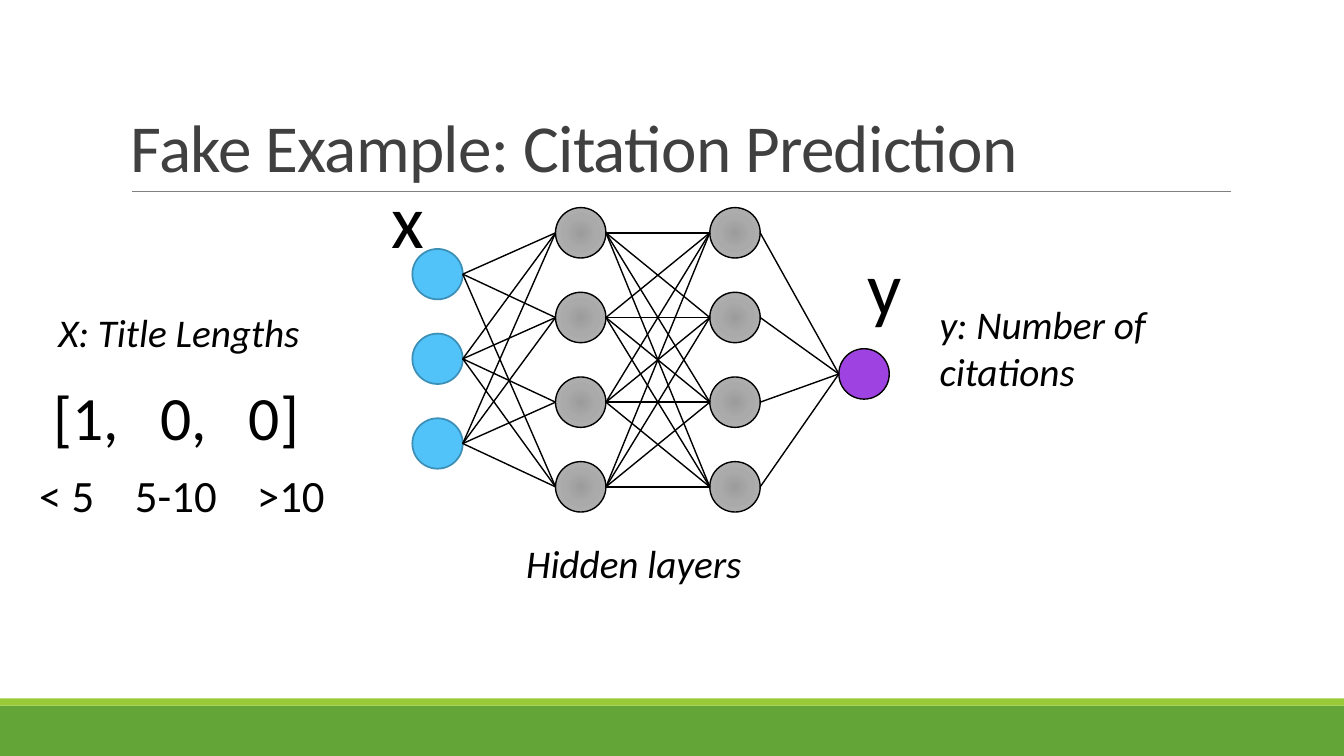
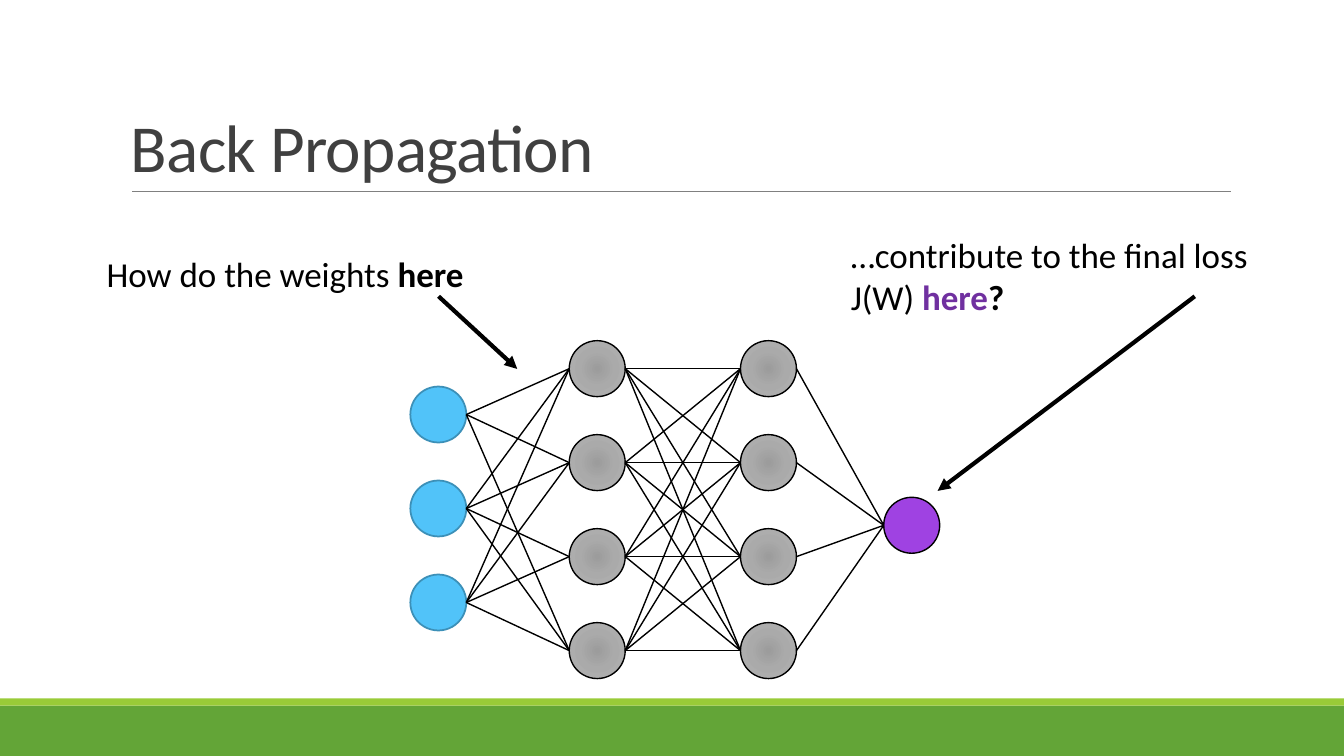
from pptx import Presentation
from pptx.dml.color import RGBColor
from pptx.enum.shapes import MSO_CONNECTOR, MSO_SHAPE
from pptx.enum.text import MSO_ANCHOR, PP_ALIGN
from pptx.oxml import parse_xml
from pptx.oxml.ns import nsdecls, qn
from pptx.oxml.xmlchemy import OxmlElement
from pptx.util import Inches, Pt

STRAIGHT = MSO_CONNECTOR.STRAIGHT
OVAL, RECTANGLE = MSO_SHAPE.OVAL, MSO_SHAPE.RECTANGLE
TOP, BOTTOM = MSO_ANCHOR.TOP, MSO_ANCHOR.BOTTOM
LEFT, CENTER = PP_ALIGN.LEFT, PP_ALIGN.CENTER

BLACK = RGBColor(0x00, 0x00, 0x00)
TITLE_GRAY = RGBColor(0x40, 0x40, 0x40)
RULE_GRAY = RGBColor(0x80, 0x80, 0x80)
GREEN = RGBColor(0x63, 0xA5, 0x37)
LIME = RGBColor(0x99, 0xCB, 0x38)
BLUE = RGBColor(0x51, 0xC3, 0xF9)
BLUE_EDGE = RGBColor(0x3C, 0x90, 0xB8)
PURPLE = RGBColor(0x9F, 0x42, 0xE2)
TEXT_PURPLE = RGBColor(0x70, 0x30, 0xA0)
HIDDEN_STOPS = [(0, "9C9C9C"), (45, "AAAAAA"), (100, "B4B4B4")]
FONT = "Calibri"

SLIDE_WIDTH, SLIDE_HEIGHT = 13.33, 7.5
BANDS = [(7, 0.5, GREEN), (6.93, 0.07, LIME)]

# Layers of the network, relative to its top left corner: left, top, node count, fill, edge, edge width
LAYERS = [
    (0, 0.41, 3, BLUE, BLUE_EDGE, 1.25),
    (1.42, 0, 4, None, BLACK, 1),
    (2.95, 0, 4, None, BLACK, 1),
    (4.23, 1.4, 1, PURPLE, BLACK, 1),
]
NODE_SIZE, NODE_STEP = 0.5, 0.84
UNLINKED = {(0, 0, 2)}  # layer, node, node of the next layer

ITALIC = {"size": 28, "italic": True}
SYMBOL = {"size": 54, "align": CENTER, "wrap": False}
SLIDES = [
    {
        "title": "Fake Example: Citation Prediction",
        "network": (4.09, 2.06, 1),
        "texts": [
            ((3.78, 1.67, 0.53, 1.01), "x", SYMBOL),
            ((8.5, 2.33, 0.55, 1.01), "y", SYMBOL),
            ((0.43, 3.71, 2.89, 0.84), "[1,\t0,\t0]", {"size": 44, "tabs": (1.06, 1.94)}),
            ((0.29, 4.59, 3.35, 0.64), "< 5\t5-10\t>10", {"size": 32, "tabs": (0.95, 2.16)}),
            ((0.48, 3.01, 2.8, 0.57), "X: Title Lengths", ITALIC),
            ((9.22, 2.93, 2.8, 1.04), "y: Number of citations", ITALIC),
            ((5.12, 5.3, 2.8, 0.57), "Hidden layers", ITALIC),
        ],
        "arrows": [],
    },
    {
        "title": "Back Propagation",
        "network": (4.07, 3.38, 1.11),
        "texts": [
            ((0.96, 2.46, 4.5, 0.52),
             [("How do the weights ", {}), ("here", {"bold": True})], {"size": 25}),
            ((8.34, 2.27, 4.5, 0.94),
             [("…contribute to the final loss J(W) ", {}),
              ("here", {"bold": True, "color": TEXT_PURPLE}),
              ("?", {"bold": True})], {"size": 25}),
        ],
        "arrows": [((4.35, 2.94), (5.13, 3.66)), ((11.85, 2.94), (9.3, 4.87))],
    },
]


def add_text(slide, box, content, size=28, color=BLACK, italic=False, align=LEFT,
             anchor=TOP, wrap=True, line_spacing=None, tracking=None, tabs=()):
    """Add a text box; content is a string or a list of (text, run format)."""
    frame = slide.shapes.add_textbox(*map(Inches, box)).text_frame
    frame.word_wrap = wrap
    frame.vertical_anchor = anchor
    paragraph = frame.paragraphs[0]
    paragraph.alignment = align
    if line_spacing:
        paragraph.line_spacing = line_spacing
    if tabs:
        tab_list = OxmlElement("a:tabLst")
        for position in tabs:
            tab = OxmlElement("a:tab")
            tab.set("pos", str(Inches(position)))
            tab.set("algn", "l")
            tab_list.append(tab)
        paragraph._p.get_or_add_pPr().append(tab_list)
    for text, run_format in [(content, {})] if isinstance(content, str) else content:
        run = paragraph.add_run()
        run.text = text
        run.font.name = FONT
        run.font.size = Pt(size)
        run.font.italic = italic
        run.font.bold = run_format.get("bold", False)
        run.font.color.rgb = run_format.get("color", color)
        if tracking:
            run.font._element.set("spc", str(int(tracking * 100)))


def add_line(shapes, start, end, color=BLACK, width=1, arrow=False):
    line = shapes.add_connector(STRAIGHT, *map(Inches, (*start, *end)))
    line.line.color.rgb = color
    line.line.width = Pt(width)
    properties = line._element.spPr
    if arrow:
        head = OxmlElement("a:tailEnd")
        head.set("type", "triangle")
        properties.find(qn("a:ln")).append(head)
    properties.append(OxmlElement("a:effectLst"))


def add_filled_shape(shapes, kind, box, fill, edge=None, edge_width=1):
    """Add a shape; without a fill colour it gets the radial gradient of hidden nodes."""
    shape = shapes.add_shape(kind, *map(Inches, box))
    shape.shadow.inherit = False
    if fill is None:
        shape.fill.background()
        stops = "".join(f'<a:gs pos="{position * 1000}"><a:srgbClr val="{color}"/></a:gs>'
                        for position, color in HIDDEN_STOPS)
        gradient = parse_xml(
            f'<a:gradFill {nsdecls("a")} rotWithShape="1"><a:gsLst>{stops}</a:gsLst>'
            '<a:path path="circle"><a:fillToRect l="100000" t="100000" r="100000" b="100000"/>'
            '</a:path></a:gradFill>')
        properties = shape._element.spPr
        properties.replace(properties.find(qn("a:noFill")), gradient)
    else:
        shape.fill.solid()
        shape.fill.fore_color.rgb = fill
    if edge is None:
        shape.line.fill.background()
    else:
        shape.line.color.rgb = edge
        shape.line.width = Pt(edge_width)


def add_network(slide, left, top, scale):
    shapes = slide.shapes.add_group_shape().shapes
    size = NODE_SIZE * scale
    layers = []
    for layer_left, layer_top, count, fill, edge, edge_width in LAYERS:
        x = left + layer_left * scale
        tops = [top + (layer_top + NODE_STEP * node) * scale for node in range(count)]
        for y in tops:
            add_filled_shape(shapes, OVAL, (x, y, size, size), fill, edge, edge_width)
        layers.append([(x, y + size / 2) for y in tops])
    for layer, (sources, targets) in enumerate(zip(layers, layers[1:])):
        for i, (x, y) in enumerate(sources):
            for j, target in enumerate(targets):
                if (layer, i, j) not in UNLINKED:
                    add_line(shapes, (x + size, y), target)


def add_titled_slide(presentation, title):
    slide = presentation.slides.add_slide(presentation.slide_layouts[6])
    for top, height, color in BANDS:
        add_filled_shape(slide.shapes, RECTANGLE, (0, top, SLIDE_WIDTH, height), color)
    add_line(slide.shapes, (1.31, 1.9), (12.21, 1.9), RULE_GRAY, 0.5)
    add_text(slide, (1.2, 0.31, 11, 1.59), title, size=48, color=TITLE_GRAY,
             anchor=BOTTOM, line_spacing=0.85, tracking=-0.5)
    return slide


def main():
    presentation = Presentation()
    presentation.slide_width = Inches(SLIDE_WIDTH)
    presentation.slide_height = Inches(SLIDE_HEIGHT)
    for content in SLIDES:
        slide = add_titled_slide(presentation, content["title"])
        add_network(slide, *content["network"])
        for box, text, text_format in content["texts"]:
            add_text(slide, box, text, **text_format)
        for start, end in content["arrows"]:
            add_line(slide.shapes, start, end, width=3, arrow=True)
    presentation.save("out.pptx")


if __name__ == "__main__":
    main()
